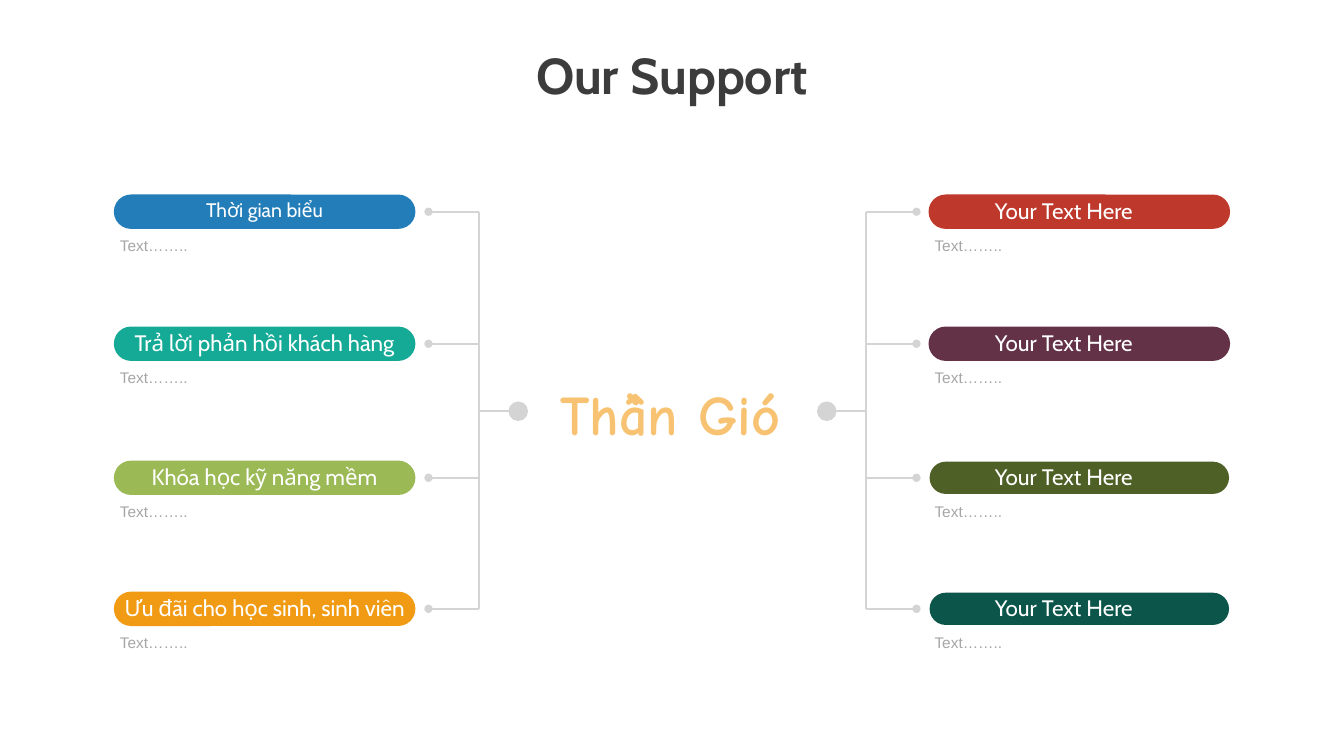
from dataclasses import dataclass

from lxml import etree
from pptx import Presentation
from pptx.dml.color import RGBColor
from pptx.enum.shapes import MSO_CONNECTOR as Connector, MSO_SHAPE as Shape
from pptx.enum.text import MSO_ANCHOR as Anchor, PP_ALIGN as Align
from pptx.oxml.ns import qn
from pptx.util import Inches, Pt


@dataclass(frozen=True)
class Theme:
    title: str = "3C3C3C"
    center: str = "F7C372"
    line: str = "D4D4D4"
    label: str = "FFFFFF"
    caption: str = "A6A6A6"
    heading_font: str = "Cabin"
    center_font: str = "Comic Neue"
    caption_font: str = "Arial"
    title_size: int = 36
    center_size: int = 40
    label_size: int = 16
    small_label_size: int = 14
    caption_size: int = 11


THEME = Theme()
PILL_TOPS = (1.94, 3.25, 4.58, 5.88)
PILL_WIDTH, PILL_HEIGHT = 2.97, 0.32
HUB_Y, HUB_SIZE = 4.08, 0.18

# Label, colour, label size, outlined
LEFT_ITEMS = (
    ("Thời gian biểu", "237DB9", THEME.small_label_size, True),
    ("Trả lời phản hồi khách hàng", "15AA96", THEME.label_size, True),
    ("Khóa học kỹ năng mềm", "9BB955", THEME.label_size, True),
    ("Ưu đãi cho học sinh, sinh viên", "F19B14", THEME.label_size, True),
)
RIGHT_ITEMS = tuple(
    ("Your Text Here", color, THEME.label_size, outlined)
    for color, outlined in (("BE382C", True), ("633247", True), ("4F6027", False), ("0B554B", False))
)


def rgb(color):
    return RGBColor.from_string(color)


def write(shape, text, font_name, size, color, align, bold=False):
    frame = shape.text_frame
    frame.word_wrap = True
    frame.vertical_anchor = Anchor.TOP
    paragraph = frame.paragraphs[0]
    paragraph.alignment = align
    run = paragraph.add_run()
    run.text = text
    run.font.name = font_name
    run.font.size = Pt(size)
    run.font.bold = bold
    run.font.color.rgb = rgb(color)
    return paragraph


def add_text(slide, box, *style, **options):
    textbox = slide.shapes.add_textbox(*map(Inches, box))
    return write(textbox, *style, **options)


def add_filled(slide, kind, box, color, line_width):
    shape = slide.shapes.add_shape(kind, *map(Inches, box))
    shape.shadow.inherit = False
    shape.fill.solid()
    shape.fill.fore_color.rgb = rgb(color)
    if line_width:
        shape.line.color.rgb = rgb(color)
        shape.line.width = Pt(line_width)
    else:
        shape.line.fill.background()
    return shape


def add_line(slide, start, end, dot=False):
    connector = slide.shapes.add_connector(Connector.STRAIGHT, *map(Inches, start + end))
    connector.line.color.rgb = rgb(THEME.line)
    connector.line.width = Pt(1.5)
    if dot:
        etree.SubElement(connector.line._get_or_add_ln(), qn("a:tailEnd"), type="oval")
    etree.SubElement(connector._element.spPr, qn("a:effectLst"))


def add_title(slide, box, text):
    title = slide.shapes.title
    title.left, title.top, title.width, title.height = map(Inches, box)
    paragraph = write(title, text, THEME.heading_font, THEME.title_size,
                      THEME.title, Align.CENTER, bold=True)
    paragraph.line_spacing = Pt(32)


def add_bracket(slide, trunk_x, outward):
    """Draw hub, trunk and branches; outward is 1 to the right, -1 to the left."""
    hub_x = trunk_x - 0.39 * outward
    branch_ys = [top + PILL_HEIGHT / 2 for top in PILL_TOPS]
    add_line(slide, (hub_x, HUB_Y), (trunk_x, HUB_Y))
    add_line(slide, (trunk_x, branch_ys[0]), (trunk_x, branch_ys[-1]))
    for y in branch_ys:
        add_line(slide, (trunk_x, y), (trunk_x + 0.5 * outward, y), dot=True)
    hub_box = (hub_x - HUB_SIZE / 2, HUB_Y - HUB_SIZE / 2, HUB_SIZE, HUB_SIZE)
    add_filled(slide, Shape.OVAL, hub_box, THEME.line, 1)


def add_column(slide, left, items, label_offset, label_width, align):
    for top, (label, color, size, outlined) in zip(PILL_TOPS, items):
        pill_box = (left, top, PILL_WIDTH, PILL_HEIGHT)
        pill = add_filled(slide, Shape.ROUNDED_RECTANGLE, pill_box, color, 1.5 if outlined else 0)
        pill.adjustments[0] = 0.5
        add_text(slide, (left + label_offset, top - 0.03, label_width, 0.37),
                 label, THEME.heading_font, size, THEME.label, align)
        add_text(slide, (left - 0.05, top + 0.35, 3.09, 0.29),
                 "Text……..", THEME.caption_font, THEME.caption_size, THEME.caption, Align.LEFT)


def main():
    presentation = Presentation()
    presentation.slide_width, presentation.slide_height = Inches(13.33), Inches(7.5)
    slide = presentation.slides.add_slide(presentation.slide_layouts[5])

    add_title(slide, (3.25, 0.54, 6.83, 0.56), "Our Support")

    # Brackets on both sides of the centre
    add_bracket(slide, 4.75, -1)
    add_bracket(slide, 8.59, 1)

    # Labelled columns
    add_column(slide, 1.14, LEFT_ITEMS, -0.03, 3.03, Align.CENTER)
    add_column(slide, 9.22, RIGHT_ITEMS, 0.55, 2.43, Align.LEFT)

    # Centre name
    add_text(slide, (5.44, 3.72, 2.42, 0.77), "Thần Gió", THEME.center_font,
             THEME.center_size, THEME.center, Align.CENTER, bold=True)

    presentation.save("out.pptx")


if __name__ == "__main__":
    main()
